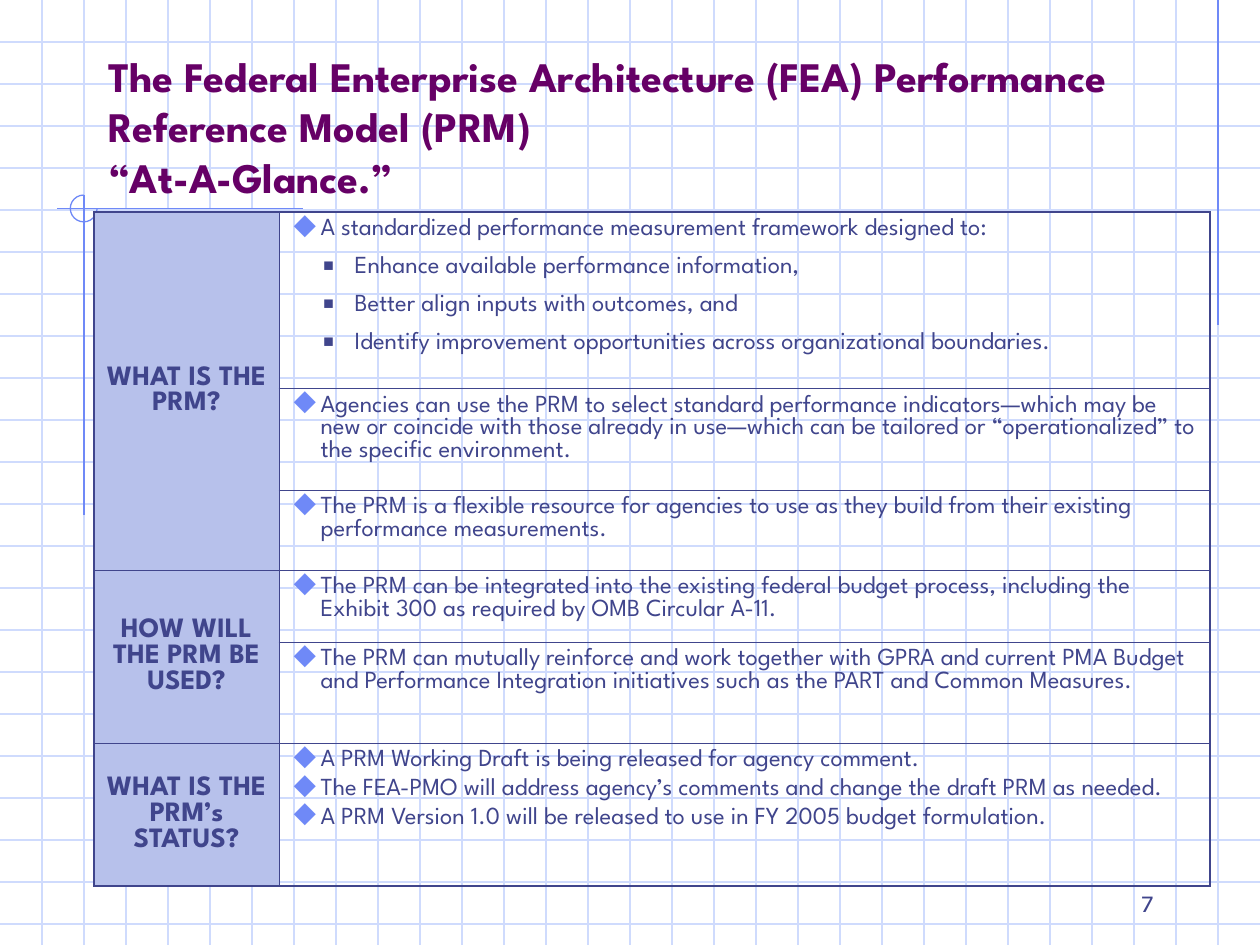
from dataclasses import dataclass

from lxml.etree import SubElement
from pptx import Presentation
from pptx.dml.color import RGBColor as Rgb
from pptx.enum.shapes import MSO_CONNECTOR as Connector, MSO_SHAPE as Shape
from pptx.enum.text import MSO_ANCHOR as Anchor, MSO_AUTO_SIZE as AutoSize, PP_ALIGN as Align
from pptx.oxml import parse_xml
from pptx.oxml.ns import nsdecls, qn
from pptx.util import Pt


@dataclass(frozen=True)
class Theme:
    grid: str = "CFDBFD"
    accent: str = "6F89F7"
    ink: str = "40458C"
    title: str = "660066"
    header_fill: str = "B7C1EB"
    font: str = "League Spartan"
    number_font: str = "Karla"
    bullet_font: str = "Wingdings"
    title_size: float = 24
    header_size: float = 16
    body_size: float = 14
    hairline: float = 0.75
    inner_border: float = 0.45
    outer_border: float = 1.08


@dataclass(frozen=True)
class Bullet:
    mark: str
    color: str
    percent: int
    left: float
    hanging: float


THEME = Theme()
WIDTH, HEIGHT, GRID_STEP = 720, 540, 24
# In the bullet font, "u" is a diamond and "n" is a square
DIAMOND = Bullet("u", THEME.accent, 110, 16.5, 16.5)
SQUARE = Bullet("n", THEME.ink, 60, 36, 18)

TITLE = ("The Federal Enterprise Architecture (FEA) Performance "
         "Reference Model (PRM)\v“At-A-Glance.”")
COLUMN_WIDTHS = (105.8, 532)
ROW_HEIGHTS = (100.8, 58, 46, 41, 57.8, 81.6)

# Each section: header, then its rows; each row: space between items, then items
SECTIONS = [
    ("WHAT IS THE PRM?", [
        (8.8, [
            (DIAMOND, "A standardized performance measurement framework designed to:"),
            (SQUARE, "Enhance available performance information,"),
            (SQUARE, "Better align inputs with outcomes, and"),
            (SQUARE, "Identify improvement opportunities across organizational boundaries."),
        ]),
        (0, [(DIAMOND, "Agencies can use the PRM to select standard performance "
                       "indicators—which may be new or coincide with those already in "
                       "use—which can be tailored or “operationalized” to the specific "
                       "environment.")]),
        (0, [(DIAMOND, "The PRM is a flexible resource for agencies to use as they build "
                       "from their existing performance measurements.")]),
    ]),
    ("HOW WILL THE PRM BE USED?", [
        (0, [(DIAMOND, "The PRM can be integrated into the existing federal budget process, "
                       "including the Exhibit 300 as required by OMB Circular A-11.")]),
        (0, [(DIAMOND, "The PRM can mutually reinforce and work together with GPRA and "
                       "current PMA Budget and Performance Integration initiatives such as "
                       "the PART and Common Measures.")]),
    ]),
    ("WHAT IS THE PRM’s STATUS?", [
        (3.5, [
            (DIAMOND, "A PRM Working Draft is being released for agency comment."),
            (DIAMOND, "The FEA-PMO will address agency’s comments and change the draft PRM "
                      "as needed."),
            (DIAMOND, "A PRM Version 1.0 will be released to use in FY 2005 budget "
                      "formulation."),
        ]),
    ]),
]


def style_font(para, size, color, bold=False, name=THEME.font):
    font = para.font
    font.name, font.size, font.bold = name, Pt(size), bold
    font.color.rgb = Rgb.from_string(color)


def add_line(shapes, x1, y1, x2, y2, color):
    line = shapes.add_connector(Connector.STRAIGHT, Pt(x1), Pt(y1), Pt(x2), Pt(y2))
    line.line.color.rgb = Rgb.from_string(color)
    line.line.width = Pt(THEME.hairline)
    SubElement(line.element.spPr, qn("a:effectLst"))


def add_grid(page):
    shapes = page.shapes.add_group_shape().shapes
    for y in range(GRID_STEP, HEIGHT, GRID_STEP):
        add_line(shapes, 0, y, WIDTH, y, THEME.grid)
    for x in range(GRID_STEP, WIDTH, GRID_STEP):
        add_line(shapes, x, 0, x, HEIGHT, THEME.grid)


def add_drafting_marks(page):
    shapes = page.shapes.add_group_shape().shapes
    add_line(shapes, 696, 0, 696, 186, THEME.accent)
    add_line(shapes, 173, 119.2, 32.5, 119.2, THEME.accent)
    add_line(shapes, 48, 111.5, 48, 294.5, THEME.accent)
    # Three quarters of a circle, clockwise from the right to the top
    arc = shapes.add_shape(Shape.ARC, Pt(40.2), Pt(111.5), Pt(15.3), Pt(15.3))
    arc.adjustments[0], arc.adjustments[1] = 0, 162
    arc.shadow.inherit = False
    arc.fill.background()
    arc.line.color.rgb = Rgb.from_string(THEME.accent)
    arc.line.width = Pt(THEME.hairline)


def add_title(page):
    title = page.shapes.title
    page.shapes.element.append(title.element)  # in front of the grid
    title.left, title.top, title.width, title.height = Pt(54.6), Pt(28.8), Pt(628), Pt(90)
    frame = title.text_frame
    frame.text = TITLE
    frame.auto_size = AutoSize.NONE
    frame.vertical_anchor = Anchor.BOTTOM
    para = frame.paragraphs[0]
    para.alignment = Align.LEFT
    style_font(para, THEME.title_size, THEME.title, bold=True)


def set_bullet(para, bullet):
    props = para._p.get_or_add_pPr()
    props.set("marL", str(Pt(bullet.left)))
    props.set("indent", str(-Pt(bullet.hanging)))
    color = SubElement(props, qn("a:buClr"))
    SubElement(color, qn("a:srgbClr"), val=bullet.color)
    SubElement(props, qn("a:buSzPct"), val=str(bullet.percent * 1000))
    SubElement(props, qn("a:buFont"), typeface=THEME.bullet_font, charset="2")
    SubElement(props, qn("a:buChar"), char=bullet.mark)


def fill_header(cell, text):
    cell.text = text
    cell.vertical_anchor = Anchor.MIDDLE
    para = cell.text_frame.paragraphs[0]
    para.alignment = Align.CENTER
    style_font(para, THEME.header_size, THEME.ink, bold=True)


def fill_list(cell, gap, items):
    frame = cell.text_frame
    for index, (bullet, text) in enumerate(items):
        para = frame.add_paragraph() if index else frame.paragraphs[0]
        para.text = text
        set_bullet(para, bullet)
        style_font(para, THEME.body_size, THEME.ink)
        if index:
            para.space_before = Pt(gap)


def set_borders(cell, row, column):
    outer = {"L": column == 0, "R": column == len(COLUMN_WIDTHS) - 1,
             "T": row == 0, "B": row == len(ROW_HEIGHTS) - 1}
    sides = "LR" if cell.is_spanned else "LRTB"
    props = cell._tc.get_or_add_tcPr()
    for position, side in enumerate(sides):
        width = Pt(THEME.outer_border if outer[side] else THEME.inner_border)
        props.insert(position, parse_xml(
            f'<a:ln{side} {nsdecls("a")} w="{width}"><a:solidFill>'
            f'<a:srgbClr val="{THEME.ink}"/></a:solidFill></a:ln{side}>'))


def add_glance_table(page):
    table = page.shapes.add_table(len(ROW_HEIGHTS), len(COLUMN_WIDTHS), Pt(53.7), Pt(121.2),
                                  Pt(sum(COLUMN_WIDTHS)), Pt(sum(ROW_HEIGHTS))).table
    table.first_row = table.horz_banding = False
    for column, width in zip(table.columns, COLUMN_WIDTHS):
        column.width = Pt(width)
    for row, height in zip(table.rows, ROW_HEIGHTS):
        row.height = Pt(height)

    # Sections: one merged header beside its rows
    start = 0
    for header, rows in SECTIONS:
        if len(rows) > 1:
            table.cell(start, 0).merge(table.cell(start + len(rows) - 1, 0))
        fill_header(table.cell(start, 0), header)
        for offset, (gap, items) in enumerate(rows):
            fill_list(table.cell(start + offset, 1), gap, items)
        start += len(rows)

    # Fills and borders
    for row in range(len(ROW_HEIGHTS)):
        for column in range(len(COLUMN_WIDTHS)):
            cell = table.cell(row, column)
            if column == 0:
                cell.fill.solid()
                cell.fill.fore_color.rgb = Rgb.from_string(THEME.header_fill)
            else:
                cell.fill.background()
            set_borders(cell, row, column)


def add_page_number(page, number):
    box = page.shapes.add_textbox(Pt(516), Pt(492), Pt(150), Pt(36))
    frame = box.text_frame
    frame.word_wrap = True
    frame.vertical_anchor = Anchor.BOTTOM
    para = frame.paragraphs[0]
    para.text = number
    para.alignment = Align.RIGHT
    style_font(para, THEME.body_size, THEME.ink, name=THEME.number_font)


def main():
    deck = Presentation()
    deck.slide_width, deck.slide_height = Pt(WIDTH), Pt(HEIGHT)
    page = deck.slides.add_slide(deck.slide_layouts[5])
    add_grid(page)
    add_drafting_marks(page)
    add_title(page)
    add_glance_table(page)
    add_page_number(page, "7")
    deck.save("out.pptx")


if __name__ == "__main__":
    main()
